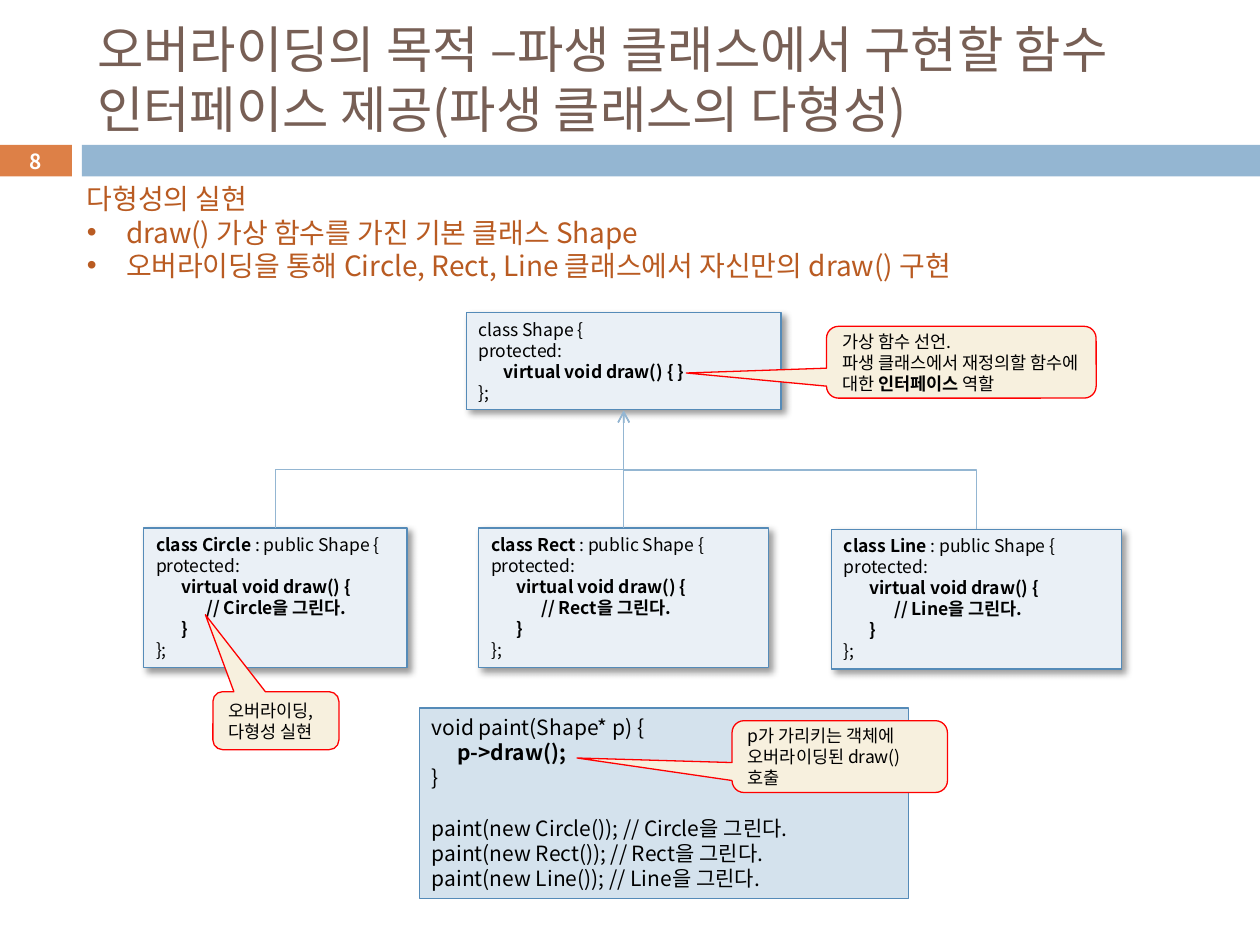
from lxml import etree
from pptx import Presentation
from pptx.dml.color import RGBColor
from pptx.enum.shapes import MSO_CONNECTOR, MSO_SHAPE
from pptx.enum.text import MSO_ANCHOR, MSO_AUTO_SIZE, PP_ALIGN
from pptx.oxml.ns import qn
from pptx.util import Emu, Inches, Pt

RECT, CALLOUT = MSO_SHAPE.RECTANGLE, MSO_SHAPE.ROUNDED_RECTANGULAR_CALLOUT
ELBOW = MSO_CONNECTOR.ELBOW
TOP, MIDDLE = MSO_ANCHOR.TOP, MSO_ANCHOR.MIDDLE
LEFT, CENTER = PP_ALIGN.LEFT, PP_ALIGN.CENTER

THEME = {
    "font": "Noto Sans CJK KR",
    "title": {"size": 28.8, "color": "775F55"},
    "body": {"size": 16, "color": "B95B22"},
    "number": {"size": 11.9, "color": "FFFFFF"},
    "code": {"size": 10, "color": "000000"},
    "usage": {"size": 12, "color": "000000"},
    "accent": "DD8047", "band": "94B6D2",
    "class": "EAF0F6", "paint": "D4E2ED", "code_line": "558BB8",
    "note": "F7F0DE", "note_line": "FF0000",
}
LINE_HEIGHT = 1.2
TAB = Inches(0.2)

deck = Presentation()
deck.slide_width, deck.slide_height = Inches(10), Inches(7.5)
COLUMN, ROW = deck.slide_width / 100, deck.slide_height / 75
page = deck.slides.add_slide(deck.slide_layouts[1])


def write(shape, lines, style, anchor=TOP, align=LEFT, wrap=True, tabs=0):
    """Fill a shape with one paragraph per line; text between bars is bold."""
    frame = shape.text_frame
    for name, value in {"word_wrap": wrap, "vertical_anchor": anchor,
                        "auto_size": MSO_AUTO_SIZE.NONE}.items():
        setattr(frame, name, value)
    for index, line in enumerate(lines):
        para = frame.add_paragraph() if index else frame.paragraphs[0]
        if tabs:
            stops = etree.SubElement(para._p.get_or_add_pPr(), qn("a:tabLst"))
            for step in range(1, tabs + 1):
                etree.SubElement(stops, qn("a:tab"), pos=str(step * TAB), algn="l")
        for name, value in {"alignment": align, "space_before": Pt(0),
                            "line_spacing": Pt(style["size"] * LINE_HEIGHT)}.items():
            setattr(para, name, value)
        for part, text in enumerate(line.split("|")):
            if not text:
                continue
            span = para.add_run()
            span.text = text
            for name, value in {"name": THEME["font"], "size": Pt(style["size"]),
                                "bold": part % 2 == 1}.items():
                setattr(span.font, name, value)
            span.font.color.rgb = RGBColor.from_string(style["color"])
            etree.SubElement(span._r.get_or_add_rPr(), qn("a:ea"), typeface=THEME["font"])


def draw_box(kind, left, top, width, height, fill, line=None):
    """Add a filled shape placed in columns and rows."""
    box = page.shapes.add_shape(kind, Emu(int(left * COLUMN)), Emu(int(top * ROW)),
                                Emu(int(width * COLUMN)), Emu(int(height * ROW)))
    box.shadow.inherit = False
    box.fill.solid()
    box.fill.fore_color.rgb = RGBColor.from_string(fill)
    if line:
        box.line.color.rgb = RGBColor.from_string(line)
        box.line.width = Pt(0.75)
    else:
        box.line.fill.background()
    return box


# Heading, band and page number
title, body = page.placeholders
for holder, place in ((title, (6.7, 2.5, 89.2, 7.4)), (body, (5.9, 13.9, 75.5, 9.1))):
    for name, value, unit in zip(("left", "top", "width", "height"), place,
                                 (COLUMN, ROW, COLUMN, ROW)):
        setattr(holder, name, Emu(int(value * unit)))
write(title, ["오버라이딩의 목적 –파생 클래스에서 구현할 함수 인터페이스 제공(파생 클래스의 다형성)"],
      THEME["title"], anchor=MIDDLE)
draw_box(RECT, 6.5, 11.5, 93.5, 2.5, THEME["band"])
number = draw_box(RECT, -0.1, 11.5, 5.8, 2.5, THEME["accent"])
write(number, ["|8|"], THEME["number"], anchor=MIDDLE, align=CENTER)

# Key points: a plain lead line, then bullets
write(body, ["다형성의 실현", "draw() 가상 함수를 가진 기본 클래스 Shape",
             "오버라이딩을 통해 Circle, Rect, Line 클래스에서 자신만의 draw() 구현"],
      THEME["body"], wrap=False)
for index, para in enumerate(body.text_frame.paragraphs):
    indent = Inches(0.31) if index else 0
    props = para._p.get_or_add_pPr()
    props.set("marL", str(indent))
    props.set("indent", str(-indent))
    if index:
        etree.SubElement(props, qn("a:buFont"), typeface="Arial")
        etree.SubElement(props, qn("a:buChar"), char="•")
    else:
        etree.SubElement(props, qn("a:buNone"))

# Class boxes
derived = {"Circle": (11.4, 41.9, 20.9, 11.1), "Rect": (38, 41.9, 23, 11.1),
           "Line": (66, 42, 23, 11.1)}
classes = [((37, 24.8, 25, 7.7),
            ["class Shape {", "protected:", "\t|virtual void draw() { }|", "};"])]
for name, place in derived.items():
    classes.append((place, [f"|class {name} |: public Shape {{", "protected:",
                            "\t|virtual void draw() {|", f"|\t\t// {name}을 그린다.|",
                            "|\t}|", "};"]))
for place, code in classes:
    box = draw_box(RECT, *place, THEME["class"], THEME["code_line"])
    write(box, code, THEME["code"], tabs=2)
    effects = box._element.spPr.find(qn("a:effectLst"))
    shadow = etree.SubElement(effects, qn("a:outerShdw"), blurRad=str(Pt(4)),
                              dist=str(Pt(3)), dir="2700000", algn="tl", rotWithShape="0")
    black = etree.SubElement(shadow, qn("a:srgbClr"), val="000000")
    etree.SubElement(black, qn("a:alpha"), val="40000")

# Inheritance arrows: elbows turned a quarter so that they leave and arrive vertically
base_x, base_y = 49.5, 32.6
for left, top, width, height in derived.values():
    start_x = left + width / 2
    run, rise = (base_x - start_x) * COLUMN, (top - base_y) * ROW
    middle_x, middle_y = (start_x + base_x) / 2 * COLUMN, (top + base_y) / 2 * ROW
    arrow = page.shapes.add_connector(
        ELBOW, Emu(int(middle_x - rise / 2)), Emu(int(middle_y - run / 2)),
        Emu(int(middle_x + rise / 2)), Emu(int(middle_y + run / 2)))
    arrow.line.color.rgb = RGBColor.from_string(THEME["band"])
    arrow.line.width = Pt(0.79)
    props = arrow._element.spPr
    props.find(qn("a:xfrm")).set("rot", str(270 * 60000))
    etree.SubElement(props.find(qn("a:ln")), qn("a:tailEnd"), type="arrow")
    etree.SubElement(props, qn("a:effectLst"))

# Code that uses the classes; the calls stand one line below the function
usage = draw_box(RECT, 33.3, 56.2, 38.8, 15.1, THEME["paint"], THEME["code_line"])
write(usage, ["void paint(Shape* p) {", "\t|p->draw();|", "}"]
      + [f"paint(new {name}()); // {name}을 그린다." for name in derived],
      THEME["usage"], tabs=1)
usage.text_frame.paragraphs[3].space_before = Pt(THEME["usage"]["size"] * LINE_HEIGHT)

# Callouts with the pointer tip as shares of their size
callouts = [
    ((58.1, 57.2, 17.1, 5.7), (-1.22, 0.02), ["p가 가리키는 객체에 오버라이딩된 draw() 호출"]),
    ((16.9, 54.9, 10, 4.6), (-0.56, -1.83), ["오버라이딩,", "다형성 실현"]),
    ((65.6, 25.9, 21.4, 5.7), (-1.02, 0.15),
     ["가상 함수 선언.", "파생 클래스에서 재정의할 함수에 대한 |인터페이스| 역할"]),
]
for place, tip, lines in callouts:
    note = draw_box(CALLOUT, *place, THEME["note"], THEME["note_line"])
    note.adjustments[0], note.adjustments[1] = tip
    write(note, lines, THEME["code"], anchor=MIDDLE)

deck.save("out.pptx")
